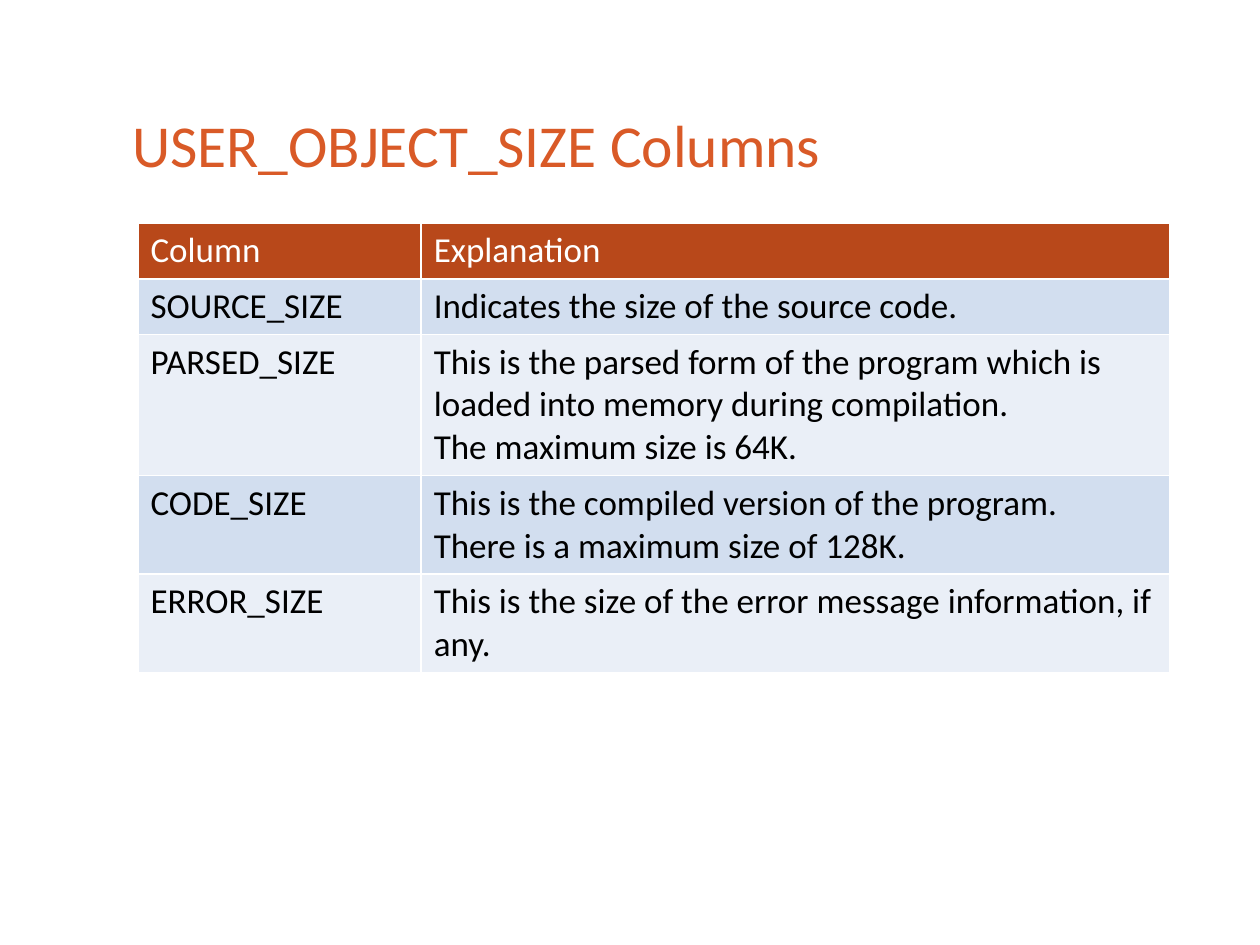
from pptx import Presentation
from pptx.dml.color import RGBColor
from pptx.enum import text
from pptx.util import Cm, Pt

HEADING = "USER_OBJECT_SIZE Columns"
HEADER = ("Column", ["Explanation"])
COLUMNS = [
    ("SOURCE_SIZE", ["Indicates the size of the source code."]),
    ("PARSED_SIZE", [
        "This is the parsed form of the program which is loaded into memory during compilation.",
        "The maximum size is 64K.",
    ]),
    ("CODE_SIZE", [
        "This is the compiled version of the program.",
        "There is a maximum size of 128K.",
    ]),
    ("ERROR_SIZE", ["This is the size of the error message information, if any."]),
]
LINE_COUNTS = [1, 1, 3, 2, 2]
COLUMN_WIDTHS = [5.71, 15.09]
LINE_HEIGHT, CELL_PADDING = 0.86, 0.26
HEADER_FILL = "B8481A"
BAND_FILLS = ["D2DEEF", "EAEFF7"]


def colour(value):
    return RGBColor.from_string(value)


def write(frame, lines, size=20, ink="000000", spacing=None):
    frame.text = "\n".join(lines)
    for paragraph in frame.paragraphs:
        paragraph.alignment = text.PP_ALIGN.LEFT
        paragraph.line_spacing = spacing
        for run in paragraph.runs:
            run.font.name = "Calibri"
            run.font.size = Pt(size)
            run.font.bold = False
            run.font.color.rgb = colour(ink)


def add_heading(slide):
    heading = slide.shapes.title
    heading.left, heading.top = Cm(2.41), Cm(2.01)
    heading.width, heading.height = Cm(20.42), Cm(1.75)
    frame = heading.text_frame
    frame.word_wrap = True
    frame.auto_size = text.MSO_AUTO_SIZE.NONE
    frame.vertical_anchor = text.MSO_ANCHOR.BOTTOM
    write(frame, [HEADING], size=34, ink="D95A27", spacing=0.9)


def add_explanations(slide):
    heights = [CELL_PADDING + LINE_HEIGHT * count for count in LINE_COUNTS]
    grid = slide.shapes.add_table(
        len(heights), len(COLUMN_WIDTHS), Cm(2.78), Cm(4.5),
        Cm(sum(COLUMN_WIDTHS)), Cm(sum(heights)),
    ).table
    for column, width in zip(grid.columns, COLUMN_WIDTHS):
        column.width = Cm(width)
    for index, (name, explanation) in enumerate([HEADER, *COLUMNS]):
        grid.rows[index].height = Cm(heights[index])
        fill = BAND_FILLS[(index - 1) % 2] if index else HEADER_FILL
        ink = "000000" if index else "FFFFFF"
        for cell, lines in zip(grid.rows[index].cells, ([name], explanation)):
            cell.fill.solid()
            cell.fill.fore_color.rgb = colour(fill)
            write(cell.text_frame, lines, ink=ink)


def main():
    deck = Presentation()
    deck.slide_width, deck.slide_height = Cm(25.4), Cm(19.05)
    slide = deck.slides.add_slide(deck.slide_layouts[5])
    add_heading(slide)
    add_explanations(slide)
    deck.save("out.pptx")


if __name__ == "__main__":
    main()
